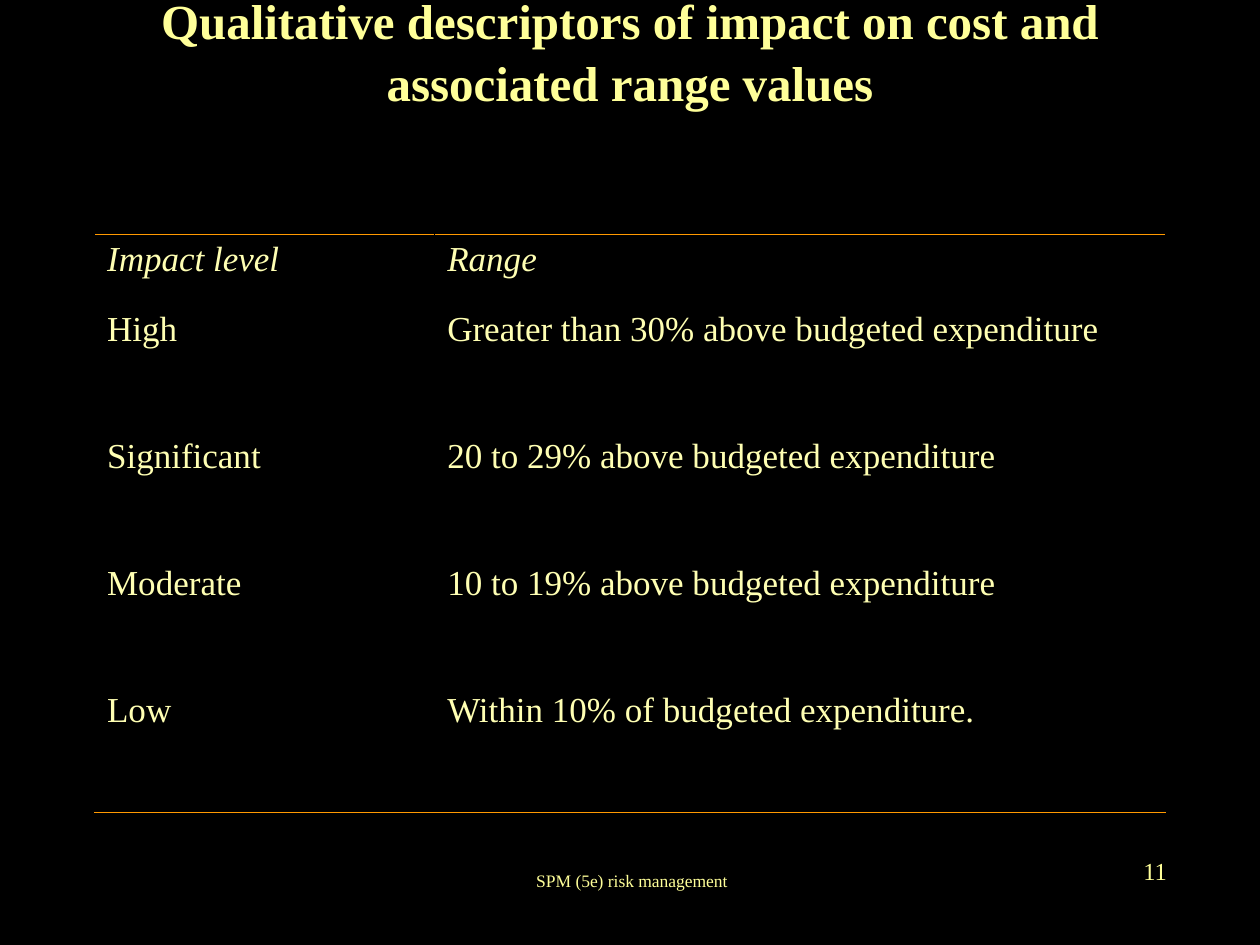
from lxml import etree
from pptx import Presentation
from pptx import util as u
from pptx.dml.color import RGBColor
from pptx.enum import text
from pptx.oxml.ns import qn

WIDE, HIGH = 10, 7.5
FONT = "Times New Roman"
INK = {"back": "000000", "head": "FFFF99", "body": "FFFFB3", "rule": "FF9900"}
COLS = [2.7, 5.8]
ROWS = [0.55] + [1.01] * 4
DATA = [
    ("Impact level", "Range"),
    ("High", "Greater than 30% above budgeted expenditure"),
    ("Significant", "20 to 29% above budgeted expenditure"),
    ("Moderate", "10 to 19% above budgeted expenditure"),
    ("Low", "Within 10% of budgeted expenditure."),
]


def style(para, size, ink, align, bold=False, slant=False):
    para.alignment = align
    font = para.font
    font.name, font.size = FONT, u.Pt(size)
    font.bold, font.italic = bold, slant
    font.color.rgb = RGBColor.from_string(INK[ink])


def label(slide, box, words, size, align, bold=False):
    shape = slide.shapes.add_textbox(*(u.Inches(n) for n in box))
    frame = shape.text_frame
    frame.word_wrap = True
    frame.vertical_anchor = text.MSO_ANCHOR.MIDDLE
    frame.text = words
    style(frame.paragraphs[0], size, "head", align, bold)
    return frame


def edge(cell, side, ink, width):
    props = cell._tc.get_or_add_tcPr()
    line = etree.SubElement(props, qn(f"a:ln{side}"), w=str(u.Pt(width)))
    fill = etree.SubElement(line, qn("a:solidFill"))
    etree.SubElement(fill, qn("a:srgbClr"), val=INK[ink])


def grid(slide, left, top):
    size = (u.Inches(n) for n in (left, top, sum(COLS), sum(ROWS)))
    table = slide.shapes.add_table(len(ROWS), len(COLS), *size).table
    for col, width in zip(table.columns, COLS):
        col.width = u.Inches(width)
    last = len(ROWS) - 1
    for r, words in enumerate(DATA):
        table.rows[r].height = u.Inches(ROWS[r])
        for c, word in enumerate(words):
            cell = table.cell(r, c)
            cell.text = word
            align = text.PP_ALIGN.LEFT if r else text.PP_ALIGN.JUSTIFY
            style(cell.text_frame.paragraphs[0], 20, "body", align, slant=r == 0)
            for side in "LRTB":
                rule = (side, r) in (("T", 0), ("B", last))
                edge(cell, side, "rule" if rule else "back", 0.45 if rule else 0.34)
            cell.fill.background()


def main():
    deck = Presentation()
    deck.slide_width, deck.slide_height = u.Inches(WIDE), u.Inches(HIGH)
    slide = deck.slides.add_slide(deck.slide_layouts[6])
    fill = slide.background.fill
    fill.solid()
    fill.fore_color.rgb = RGBColor.from_string(INK["back"])

    side = WIDE * 0.075
    title = label(slide, (side, 0, WIDE - 2 * side, HIGH / 6),
                  "Qualitative descriptors of impact on cost and associated range values",
                  28, text.PP_ALIGN.CENTER, True)
    title.margin_top, title.margin_bottom = 0, u.Inches(0.47)
    title.paragraphs[0].line_spacing = 1.05

    grid(slide, side, 1.86)
    label(slide, (3.43, 6.74, 3.17, 0.5), "SPM (5e) risk management", 10, text.PP_ALIGN.CENTER)
    label(slide, (7.28, 6.66, 2.08, 0.5), "11", 14, text.PP_ALIGN.RIGHT)
    deck.save("out.pptx")


if __name__ == "__main__":
    main()
